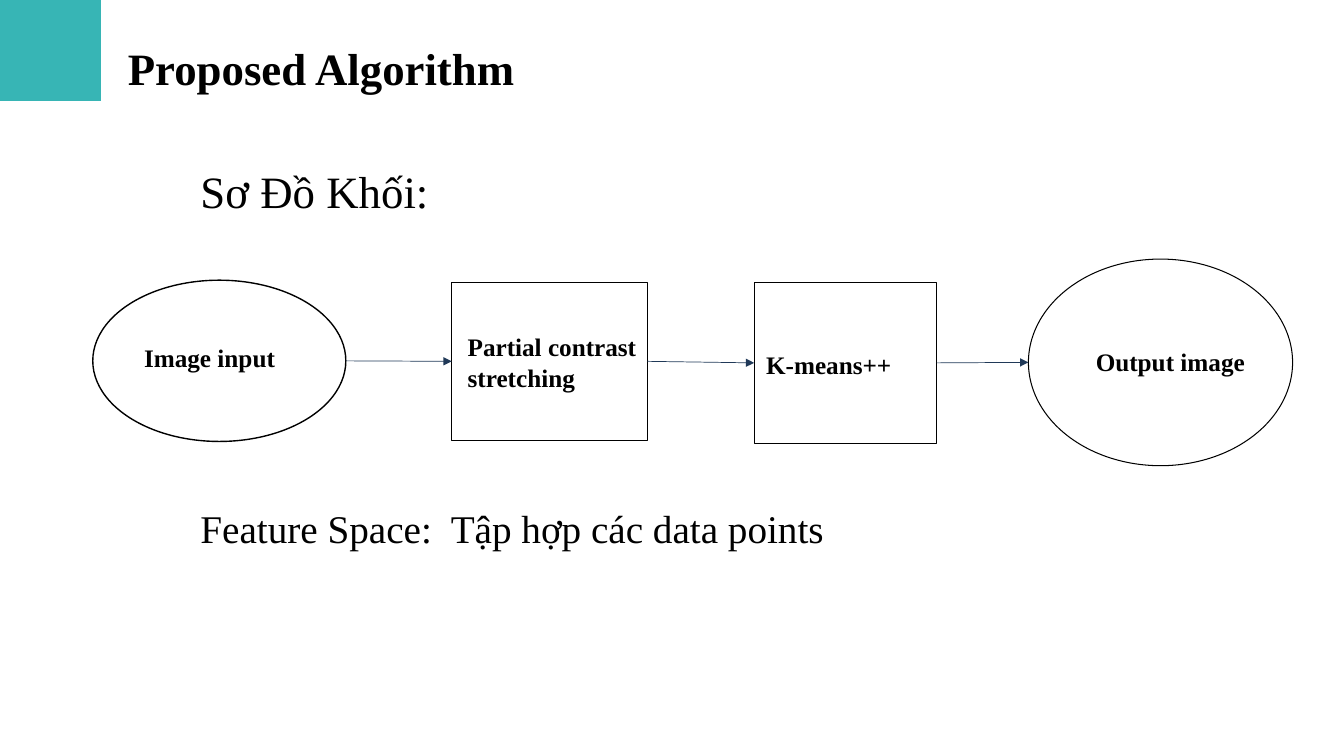
from dataclasses import dataclass

import pptx
import pptx.dml.color
import pptx.enum.shapes
import pptx.enum.text
import pptx.oxml
import pptx.oxml.ns
import pptx.util

Inches = pptx.util.Inches
Pt = pptx.util.Pt
ShapeKind = pptx.enum.shapes.MSO_SHAPE


@dataclass(frozen=True)
class Theme:
    font: str = "Times New Roman"
    black: str = "000000"
    white: str = "FFFFFF"
    teal: str = "37B5B5"
    navy: str = "203958"
    heading_size: int = 32
    note_size: int = 28
    label_size: int = 18
    arrow_width: float = 0.5


THEME = Theme()

STEPS = [
    (ShapeKind.OVAL, (0.92, 2.78, 2.51, 1.6), 1,
     "Image input", (1.33, 3.35, 2.05, 0.4)),
    (ShapeKind.RECTANGLE, (4.48, 2.8, 1.94, 1.57), 0.75,
     "Partial contrast stretching", (4.54, 3.24, 1.93, 0.71)),
    (ShapeKind.RECTANGLE, (7.48, 2.8, 1.81, 1.6), 0.75,
     "K-means++", (7.5, 3.42, 1.93, 0.4)),
    (ShapeKind.OVAL, (10.2, 2.57, 2.62, 2.05), 0.75,
     "Output image", (10.77, 3.39, 1.93, 0.4)),
]

BLOB_START = (0.43, 0.82)
BLOB_SEGMENTS = [
    [(0.31, 0.81), (0.19, 0.77), (0.11, 0.7)],
    [(0, 0.61)],
    [(0, 0.03)],
    [(0, 0.01), (0.02, 0), (0.04, 0)],
    [(0.58, 0)],
    [(0.79, 0.18)],
    [(0.97, 0.34), (0.96, 0.57), (0.77, 0.72)],
    [(0.67, 0.79), (0.55, 0.82), (0.43, 0.82)],
]


def rgb(value):
    return pptx.dml.color.RGBColor.from_string(value)


def curve_points(start, controls, steps=16):
    points = [start, *controls]
    for step in range(1, steps + 1):
        t = step / steps
        weights = ((1 - t) ** 3, 3 * t * (1 - t) ** 2, 3 * t * t * (1 - t), t ** 3)
        yield tuple(sum(w * point[axis] for w, point in zip(weights, points))
                    for axis in (0, 1))


def add_corner_blob(slide):
    outline = [BLOB_START]
    for segment in BLOB_SEGMENTS:
        if len(segment) == 3:
            outline.extend(curve_points(outline[-1], segment))
        else:
            outline.extend(segment)
    builder = slide.shapes.build_freeform(*outline[0], scale=Inches(1))
    builder.add_line_segments(outline[1:], close=True)
    shape = builder.convert_to_shape()
    shape.shadow.inherit = False
    shape.fill.solid()
    shape.fill.fore_color.rgb = rgb(THEME.teal)
    shape.line.fill.background()


def add_text(slide, text, box, size, bold=False, wrap=True, line_spacing=None):
    shape = slide.shapes.add_textbox(*map(Inches, box))
    shape.text_frame.word_wrap = wrap
    shape.text_frame.auto_size = pptx.enum.text.MSO_AUTO_SIZE.SHAPE_TO_FIT_TEXT
    paragraph = shape.text_frame.paragraphs[0]
    paragraph.text = text
    paragraph.line_spacing = line_spacing
    paragraph.font.name = THEME.font
    paragraph.font.size = Pt(size)
    paragraph.font.bold = bold
    paragraph.font.color.rgb = rgb(THEME.black)


def add_node(slide, kind, box, line_width):
    shape = slide.shapes.add_shape(kind, *map(Inches, box))
    shape.shadow.inherit = False
    shape.fill.solid()
    shape.fill.fore_color.rgb = rgb(THEME.white)
    shape.line.color.rgb = rgb(THEME.black)
    shape.line.width = Pt(line_width)
    return shape


def add_arrow(slide, source, target):
    connector = slide.shapes.add_connector(
        pptx.enum.shapes.MSO_CONNECTOR.STRAIGHT,
        source.left + source.width, source.top + source.height // 2,
        target.left, target.top + target.height // 2)
    connector.line.color.rgb = rgb(THEME.navy)
    connector.line.width = Pt(THEME.arrow_width)
    namespace = pptx.oxml.ns.nsdecls("a")
    connector.line._get_or_add_ln().append(
        pptx.oxml.parse_xml(f'<a:tailEnd {namespace} type="triangle"/>'))
    connector._element.spPr.append(
        pptx.oxml.parse_xml(f"<a:effectLst {namespace}/>"))


def add_flow(slide):
    nodes = [add_node(slide, kind, box, width) for kind, box, width, _, _ in STEPS]
    for source, target in zip(nodes, nodes[1:]):
        add_arrow(slide, source, target)
    for _, _, _, label, label_box in STEPS:
        add_text(slide, label, label_box, THEME.label_size, bold=True)


def main():
    presentation = pptx.Presentation()
    presentation.slide_width = Inches(13.33)
    presentation.slide_height = Inches(7.5)
    slide = presentation.slides.add_slide(presentation.slide_layouts[6])
    add_corner_blob(slide)
    add_text(slide, "Proposed Algorithm", (1.17, -0.18, 6.99, 1.01),
             THEME.heading_size, bold=True, line_spacing=2.0)
    add_text(slide, "Sơ Đồ Khối:", (1.89, 1.58, 4.34, 0.64), THEME.heading_size)
    add_flow(slide)
    add_text(slide, "Feature Space:  Tập hợp các data points",
             (1.89, 4.95, 6.44, 0.57), THEME.note_size, wrap=False)
    presentation.save("out.pptx")


if __name__ == "__main__":
    main()
